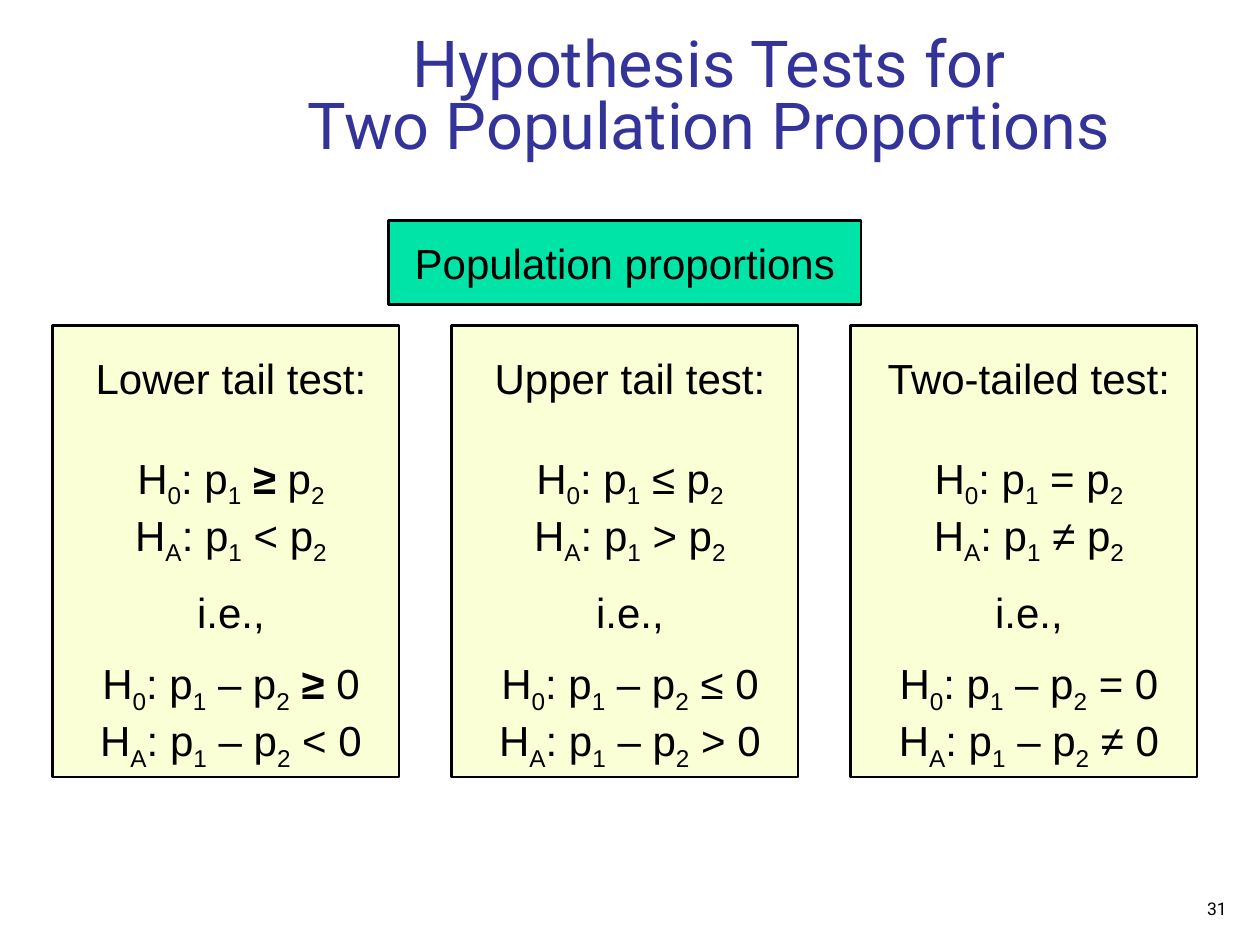
import pptx
import pptx.util
import pptx.dml.color
import pptx.enum.shapes
import pptx.enum.text

Pt = pptx.util.Pt
ALIGN = pptx.enum.text.PP_ALIGN
ANCHOR = pptx.enum.text.MSO_ANCHOR
COLORS = {"title": "333399", "ink": "000000", "heading": "00E4A8", "panel": "FBFFD5"}

# Heading, relation in H0 and relation in HA; *...* marks bold
TESTS = [
    ("Lower tail test:", "*≥*", "<"),
    ("Upper tail test:", "≤", ">"),
    ("Two-tailed test:", "=", "≠"),
]


def rgb(name):
    return pptx.dml.color.RGBColor.from_string(COLORS[name])


def style(paragraph, size, face="Arial", color="ink", align=ALIGN.CENTER):
    paragraph.alignment = align
    paragraph.font.size = Pt(size)
    paragraph.font.name = face
    paragraph.font.color.rgb = rgb(color)


def add_panel(slide, box, fill):
    panel = slide.shapes.add_shape(
        pptx.enum.shapes.MSO_SHAPE.RECTANGLE, *map(Pt, box))
    panel.shadow.inherit = False
    panel.fill.solid()
    panel.fill.fore_color.rgb = rgb(fill)
    panel.line.color.rgb = rgb("ink")
    panel.line.width = Pt(1.5)


def add_text_frame(slide, box):
    frame = slide.shapes.add_textbox(*map(Pt, box)).text_frame
    frame.word_wrap = True
    return frame


def add_formula(paragraph, formula):
    """Write a formula: _ lowers the next character, *...* is bold."""
    for i, part in enumerate(formula.split("*")):
        for j, piece in enumerate(part.split("_")):
            lowered, level = (piece[:1], piece[1:]) if j else ("", piece)
            if lowered:
                subscript = paragraph.add_run()
                subscript.text = lowered
                subscript.font._element.set("baseline", "-25000")
            if level:
                run = paragraph.add_run()
                run.text = level
                if i % 2:
                    run.font.bold = True


def add_title(slide, box):
    title = slide.shapes.title
    title.left, title.top, title.width, title.height = map(Pt, box)
    frame = title.text_frame
    frame.auto_size = pptx.enum.text.MSO_AUTO_SIZE.NONE
    frame.vertical_anchor = ANCHOR.BOTTOM
    frame.text = "Hypothesis Tests for\vTwo Population Proportions"
    style(frame.paragraphs[0], 37, "Roboto", "title")
    frame.paragraphs[0].line_spacing = 0.8


def add_heading(slide, box):
    left, top, width, height = box
    add_panel(slide, box, "heading")
    frame = add_text_frame(slide, (left, top + 6, width, height - 12))
    frame.text = "Population proportions"
    style(frame.paragraphs[0], 24)


def add_test(slide, box, heading, null_sign, alternative_sign):
    left, top, width, height = box
    add_panel(slide, box, "panel")
    frame = add_text_frame(slide, (left - 6, top + 12, width + 18, height - 8))
    # Each line with its space before
    lines = [
        (heading, 0),
        (f"H_0: p_1 {null_sign} p_2", 28),
        (f"H_A: p_1 {alternative_sign} p_2", 0),
        ("i.e.,", 11.5),
        (f"H_0: p_1 – p_2 {null_sign} 0", 11.5),
        (f"H_A: p_1 – p_2 {alternative_sign} 0", 0),
    ]
    for index, (line, gap) in enumerate(lines):
        paragraph = frame.add_paragraph() if index else frame.paragraphs[0]
        style(paragraph, 24)
        paragraph.space_before = Pt(gap)
        add_formula(paragraph, line)


def add_page_number(slide, box):
    frame = add_text_frame(slide, box)
    frame.vertical_anchor = ANCHOR.BOTTOM
    frame.text = "31"
    style(frame.paragraphs[0], 10, "Roboto", align=ALIGN.RIGHT)


def main():
    presentation = pptx.Presentation()
    presentation.slide_width, presentation.slide_height = Pt(720), Pt(540)
    slide = presentation.slides.add_slide(presentation.slide_layouts[5])

    add_title(slide, (114, 18, 582, 78))
    add_heading(slide, (222, 126, 270, 48))
    # Three tests in equal columns
    for column, test in enumerate(TESTS):
        add_test(slide, (30 + 228 * column, 186, 198, 258), *test)
    add_page_number(slide, (558, 504, 150, 24.5))

    presentation.save("out.pptx")


if __name__ == "__main__":
    main()
